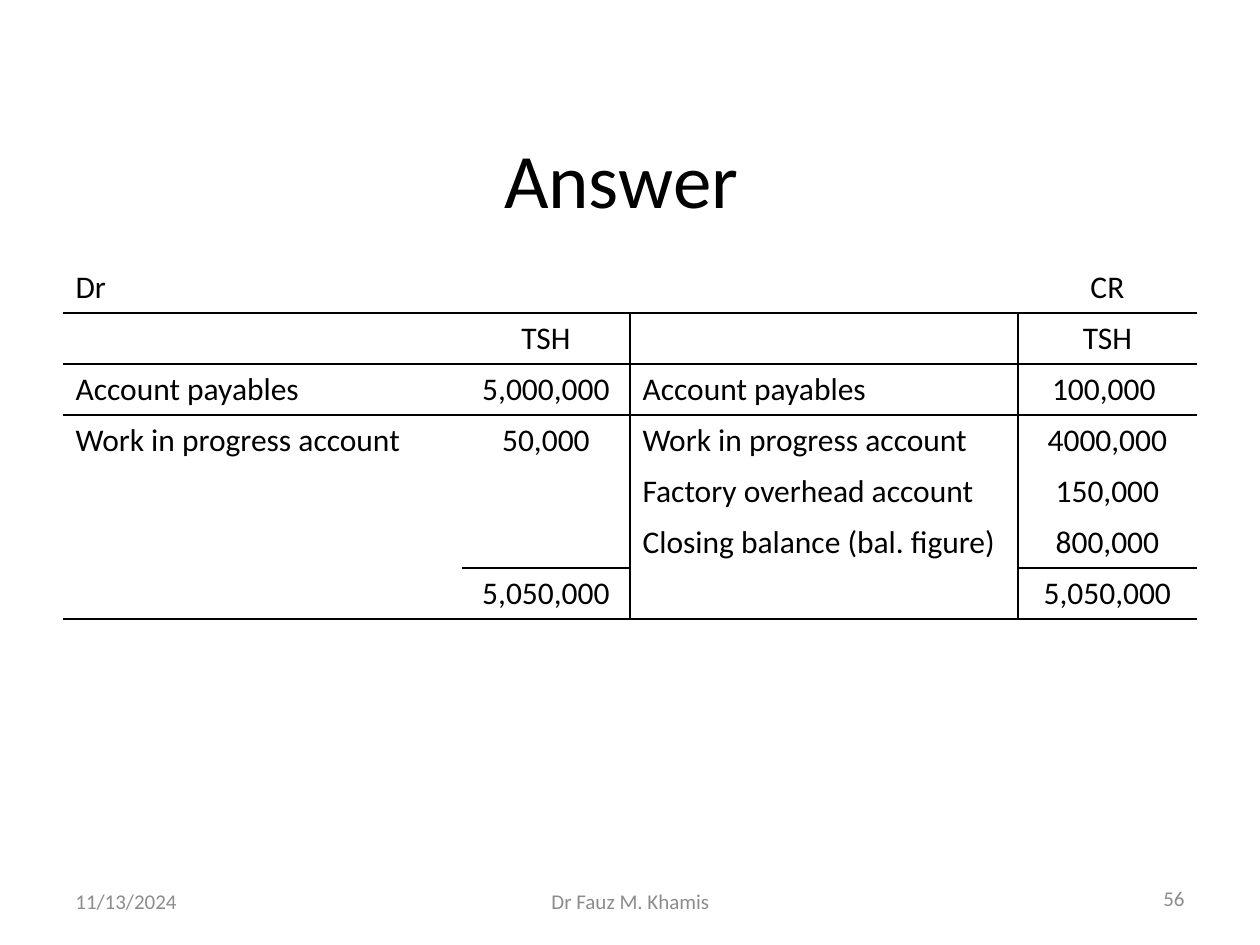
import pptx
import pptx.dml.color
import pptx.enum.text
import pptx.oxml
import pptx.oxml.ns
import pptx.util

PIXEL = pptx.util.Inches(1) / 126
BLACK = pptx.dml.color.RGBColor(0x00, 0x00, 0x00)
GREY = pptx.dml.color.RGBColor(0x8C, 0x8C, 0x8C)
FONT = "Calibri"
NO_STYLE = "{2D5ABB26-0587-4C30-8999-92F81FD0307C}"
LEFT = pptx.enum.text.PP_ALIGN.LEFT
CENTER = pptx.enum.text.PP_ALIGN.CENTER
RIGHT = pptx.enum.text.PP_ALIGN.RIGHT

# text, (left, top, width, height) in px, alignment, size, colour
TEXTS = [
    ("Answer ", (63, 94, 1134, 168), CENTER, 44, BLACK),
    ("11/13/2024", (63, 876, 294, 50), LEFT, 12, GREY),
    ("Dr Fauz M. Khamis", (431, 876, 399, 50), CENTER, 12, GREY),
    ("56", (903, 873, 294, 50), RIGHT, 12, GREY),
]

LEDGER = [
    ("Dr", "", "", "CR"),
    ("", "TSH", "", "TSH"),
    ("Account payables", "5,000,000", "Account payables", "100,000 "),
    ("Work in progress account", "50,000", "Work in progress account", "4000,000"),
    ("", "", "Factory overhead account", "150,000"),
    ("", "", "Closing balance (bal. figure)", "800,000"),
    ("", "5,050,000", "", "5,050,000"),
]
TABLE_LEFT, TABLE_TOP, ROW_HEIGHT = 63, 262, 51
COLUMN_WIDTHS = [399, 168, 388, 179]
AMOUNT_COLUMNS = (1, 3)
RULED_ROWS = (0, 1, 2, 6)  # rows with a line below them, right across
SUBTOTAL_ROW = 5  # line below the amounts only
RULED_COLUMNS = (1, 2)  # columns with a line to their right, below the heading


def px(length):
    return pptx.util.Emu(round(length * PIXEL))


def format_paragraph(paragraph, text, alignment, size, colour):
    paragraph.text = text
    paragraph.alignment = alignment
    paragraph.font.name = FONT
    paragraph.font.size = pptx.util.Pt(size)
    paragraph.font.color.rgb = colour


def add_text(slide, text, box, alignment, size, colour):
    frame = slide.shapes.add_textbox(*map(px, box)).text_frame
    frame.word_wrap = True
    frame.vertical_anchor = pptx.enum.text.MSO_ANCHOR.MIDDLE
    format_paragraph(frame.paragraphs[0], text, alignment, size, colour)


def line_below(row, column):
    return row in RULED_ROWS or (row == SUBTOTAL_ROW and column in AMOUNT_COLUMNS)


def line_right(row, column):
    return row > 0 and column in RULED_COLUMNS


def set_borders(cell, row, column):
    sides = {
        "lnL": line_right(row, column - 1),
        "lnR": line_right(row, column),
        "lnT": line_below(row - 1, column),
        "lnB": line_below(row, column),
    }
    properties = cell._tc.get_or_add_tcPr()
    for side, ruled in sides.items():
        fill = f'<a:solidFill><a:srgbClr val="{BLACK}"/></a:solidFill>' if ruled else "<a:noFill/>"
        properties.append(pptx.oxml.parse_xml(
            f'<a:{side} {pptx.oxml.ns.nsdecls("a")} w="12700">{fill}</a:{side}>'))


def add_ledger(slide):
    table = slide.shapes.add_table(
        len(LEDGER), len(COLUMN_WIDTHS), px(TABLE_LEFT), px(TABLE_TOP),
        px(sum(COLUMN_WIDTHS)), px(ROW_HEIGHT * len(LEDGER))).table
    table.first_row = table.horz_banding = False
    table._tbl.tblPr.find(pptx.oxml.ns.qn("a:tableStyleId")).text = NO_STYLE
    for column, width in enumerate(COLUMN_WIDTHS):
        table.columns[column].width = px(width)
    for row, texts in enumerate(LEDGER):
        table.rows[row].height = px(ROW_HEIGHT)
        for column, text in enumerate(texts):
            cell = table.cell(row, column)
            alignment = CENTER if column in AMOUNT_COLUMNS else LEFT
            format_paragraph(cell.text_frame.paragraphs[0], text, alignment, 18, BLACK)
            set_borders(cell, row, column)
            cell.fill.background()


def main():
    presentation = pptx.Presentation()
    presentation.slide_width = px(1260)
    presentation.slide_height = px(945)
    slide = presentation.slides.add_slide(presentation.slide_layouts[6])
    for text in TEXTS:
        add_text(slide, *text)
    add_ledger(slide)
    presentation.save("out.pptx")


if __name__ == "__main__":
    main()
